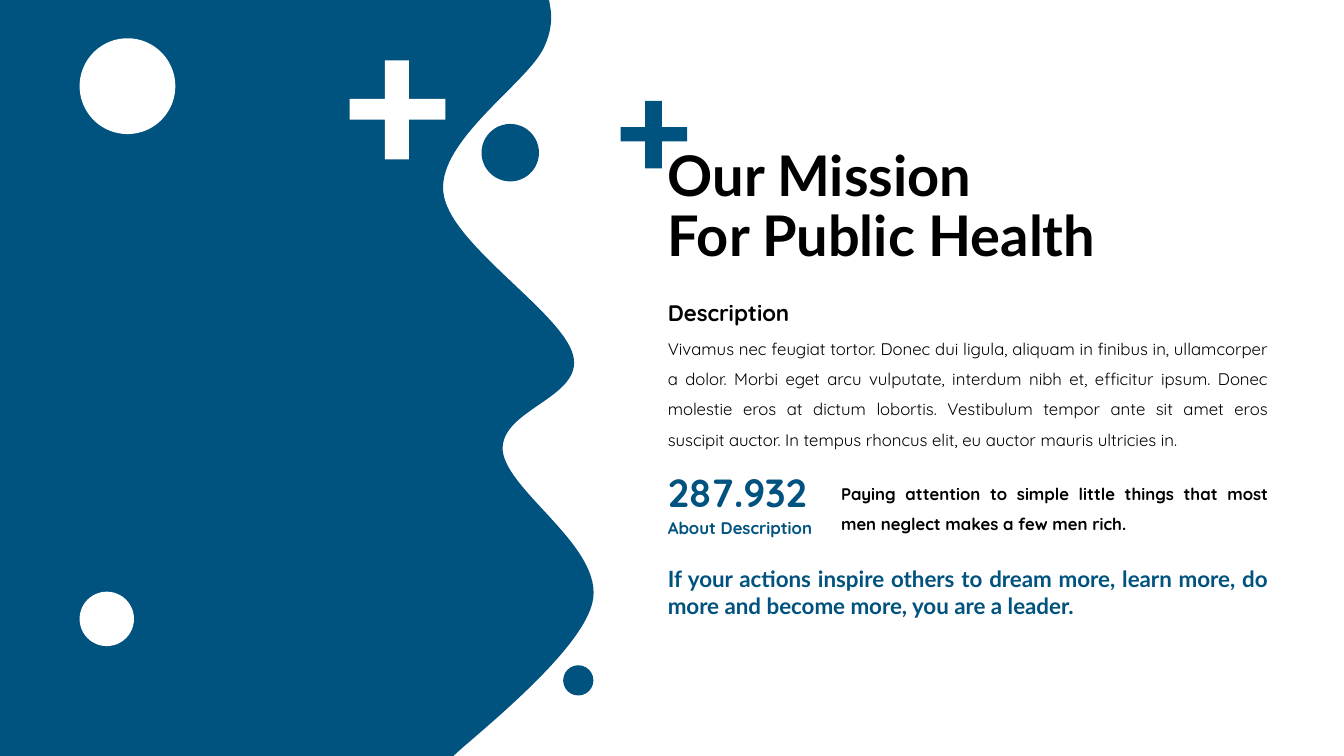
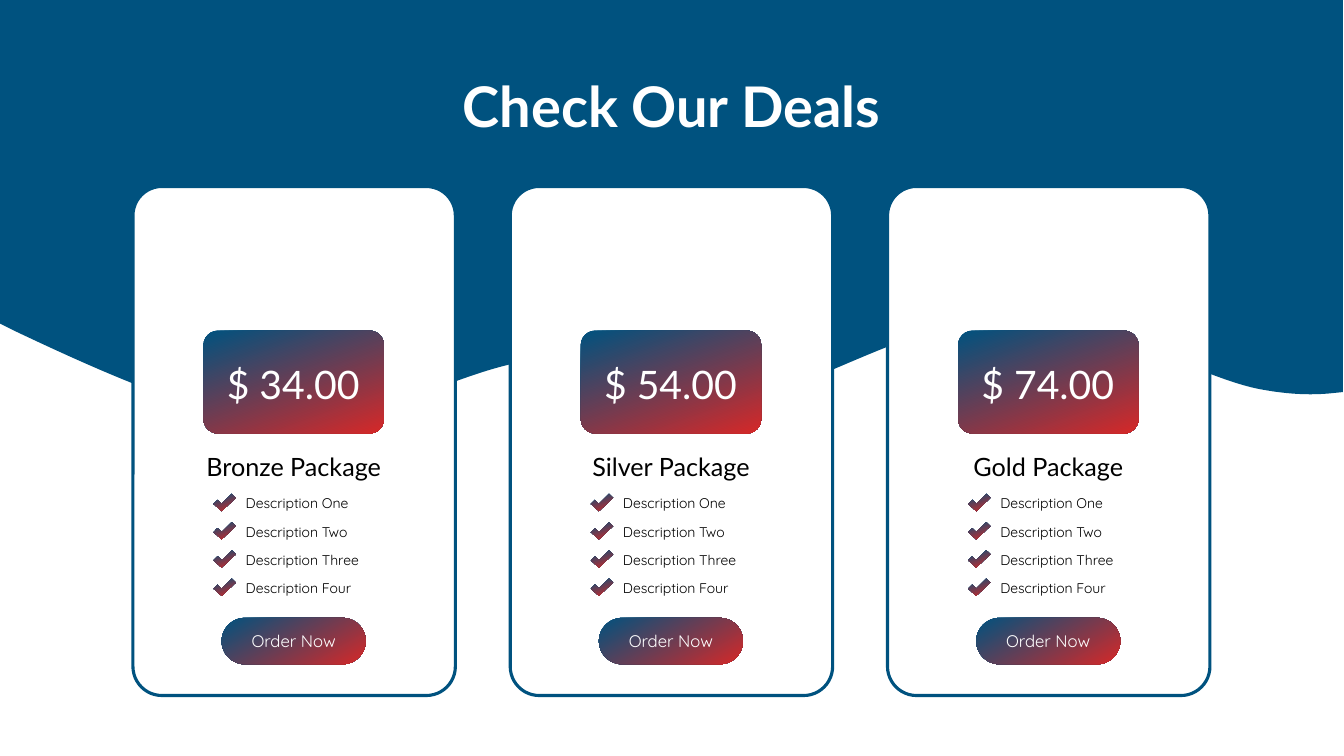
from lxml import etree
from pptx import Presentation
from pptx.dml.color import RGBColor
from pptx.enum.shapes import MSO_SHAPE as Preset
from pptx.enum.text import MSO_ANCHOR as Anchor, PP_ALIGN as Align
from pptx.oxml.ns import qn
from pptx.util import Inches, Pt

BLUE, RED, WHITE, BLACK = "00527F", "D62828", "FFFFFF", "000000"
HEADING, BODY = "Lato", "Quicksand"
TITLE_STYLE = dict(size=40, font=HEADING, bold=True, spacing=0.9, anchor=Anchor.MIDDLE)
rgb = RGBColor.from_string


def paint(shape, colour, angle=None):
    """Fill plainly, or blend from colour to red at a clockwise angle; no outline or shadow."""
    shape.shadow.inherit = False
    shape.line.fill.background()
    if angle is None:
        shape.fill.solid()
        shape.fill.fore_color.rgb = rgb(colour)
    else:
        shape.fill.gradient()
        shape.fill.gradient_angle = 360 - angle
        for stop, stop_colour in zip(shape.fill.gradient_stops, (colour, RED)):
            stop.color.rgb = rgb(stop_colour)


def write(page, area, text, size, font=BODY, colour=BLACK, bold=False,
          align=Align.LEFT, spacing=1.0, anchor=Anchor.TOP):
    """Add a text box; area is left, top, width and height in inches."""
    frame = page.shapes.add_textbox(*map(Inches, area)).text_frame
    frame.word_wrap = True
    frame.vertical_anchor = anchor
    frame.text = text
    para = frame.paragraphs[0]
    para.alignment = align
    para.line_spacing = spacing
    for span in para.runs:
        span.font.name = font
        span.font.size = Pt(size)
        span.font.bold = bold
        span.font.color.rgb = rgb(colour)


deck = Presentation()
deck.slide_width, deck.slide_height = Inches(13.34), Inches(7.5)

# Blue wave of each slide: two numbers make a corner, six make a Bezier curve
side_wave = [
    (0, 7.5), (0, 0), (5.45, 0), (5.46, 0.06),
    (5.48, 0.16, 5.48, 0.3, 5.4, 0.47), (5.24, 0.82, 4.35, 1.39, 4.4, 1.9),
    (4.44, 2.41, 5.59, 3.1, 5.69, 3.53), (5.79, 3.95, 4.96, 4.06, 4.99, 4.47),
    (5.03, 4.88, 6.01, 5.44, 5.88, 5.98), (5.78, 6.39, 5.08, 7, 4.6, 7.41),
    (4.5, 7.5),
]
top_wave = [
    (0, 0), (13.33, 0), (13.33, 3.89), (13.23, 3.9),
    (13.05, 3.92, 12.81, 3.92, 12.5, 3.86), (11.88, 3.74, 10.86, 3.11, 9.96, 3.14),
    (9.05, 3.17, 7.83, 3.99, 7.07, 4.06), (6.3, 4.13, 6.12, 3.55, 5.39, 3.57),
    (4.66, 3.59, 3.66, 4.29, 2.7, 4.2), (1.97, 4.13, 0.88, 3.63, 0.16, 3.29),
    (0, 3.21),
]
pages = []
for wave in (side_wave, top_wave):
    page = deck.slides.add_slide(deck.slide_layouts[6])
    pages.append(page)
    corners = [tuple(map(Inches, segment[-2:])) for segment in wave]
    builder = page.shapes.build_freeform(*corners[0])
    builder.add_line_segments(corners[1:])
    shape = builder.convert_to_shape()
    paint(shape, BLUE)
    # The wave touches the slide's top left corner, so its own coordinates are the slide's
    lines = list(shape.element.iter(qn("a:lnTo")))
    for line, segment in zip(lines, wave[1:]):
        if len(segment) == 6:
            curve = etree.Element(qn("a:cubicBezTo"))
            for x, y in zip(segment[::2], segment[1::2]):
                etree.SubElement(curve, qn("a:pt"), x=str(Inches(x)), y=str(Inches(y)))
            line.getparent().replace(line, curve)
mission, deals = pages

# Mission: crosses and dots
x_in, x_out, y_in, y_out = 0.37, 0.62, 0.39, 0.6
cross = [(x_in, 0), (x_out, 0), (x_out, y_in), (1, y_in), (1, y_out), (x_out, y_out),
         (x_out, 1), (x_in, 1), (x_in, y_out), (0, y_out), (0, y_in), (x_in, y_in)]
for left, top, width, height, colour in [(6.16, 1, 0.66, 0.67, BLUE),
                                         (3.47, 0.6, 0.95, 0.98, WHITE)]:
    corners = [(Inches(left + x * width), Inches(top + y * height)) for x, y in cross]
    builder = mission.shapes.build_freeform(*corners[0])
    builder.add_line_segments(corners[1:])
    paint(builder.convert_to_shape(), colour)

for left, top, size, colour in [(0.79, 5.87, 0.54, WHITE), (0.79, 0.38, 0.95, WHITE),
                                (5.59, 6.6, 0.3, BLUE), (4.78, 1.23, 0.57, BLUE)]:
    dot = mission.shapes.add_shape(Preset.OVAL, Inches(left), Inches(top),
                                   Inches(size), Inches(size))
    paint(dot, colour)

# Mission: texts
description = (
    "Vivamus nec feugiat tortor. Donec dui ligula, aliquam in finibus in, ullamcorper "
    "a dolor. Morbi eget arcu vulputate, interdum nibh et, efficitur ipsum. Donec "
    "molestie eros at dictum lobortis. Vestibulum tempor ante sit amet eros "
    "suscipit auctor. In tempus rhoncus elit, eu auctor mauris ultricies in."
)
attention = ("Paying attention to simple little things that most men neglect "
             "makes a few men rich.")
quote = ("If your actions inspire others to dream more, learn more, do more "
         "and become more, you are a leader.")
blue_label = dict(colour=BLUE, bold=True, align=Align.JUSTIFY)
figure = dict(blue_label, anchor=Anchor.MIDDLE)
airy = dict(align=Align.JUSTIFY, spacing=1.5)
for area, text, style in [
    ((6.53, 3.21, 6.16, 1.3), description, dict(airy, size=12)),
    ((6.53, 2.79, 2.96, 0.5), "Description", dict(airy, size=16, bold=True)),
    ((6.53, 5.09, 1.72, 0.3), "About Description", dict(figure, size=12)),
    ((6.53, 4.59, 2.3, 0.57), "287.932", dict(figure, size=28)),
    ((8.25, 4.65, 4.44, 0.7), attention, dict(airy, size=12, bold=True)),
    ((6.53, 5.56, 6.16, 0.64), quote, dict(blue_label, size=16, font=HEADING)),
    ((6.53, 1.34, 5.09, 1.45), "Our Mission \vFor Public Health", TITLE_STYLE),
]:
    write(mission, area, text, **style)

# Deals: price cards, then the title
FIRST_LEFT, LAST_LEFT = 1.32, 8.81
check = [(0.08, 0.17), (0, 0.1), (0.04, 0.06), (0.08, 0.1), (0.18, 0), (0.22, 0.04)]
features = ["Description One", "Description Two", "Description Three", "Description Four"]
packages = [("Bronze Package", "$ 34.00"), ("Silver Package", "$ 54.00"),
            ("Gold Package", "$ 74.00")]
card_pitch = (LAST_LEFT - FIRST_LEFT) / (len(packages) - 1)
for index, (package, price) in enumerate(packages):
    left = FIRST_LEFT + index * card_pitch

    card = deals.shapes.add_shape(Preset.ROUNDED_RECTANGLE, Inches(left), Inches(1.85),
                                  Inches(3.2), Inches(5.05))
    card.adjustments[0] = 0.09
    paint(card, WHITE)
    card.line.color.rgb = rgb(BLUE)
    card.line.width = Pt(2.25)

    for inset, top, width, height, corner, angle in [(0.7, 3.28, 1.79, 1.02, 0.14, 70),
                                                     (0.88, 6.13, 1.43, 0.46, 0.5, 60)]:
        panel = deals.shapes.add_shape(Preset.ROUNDED_RECTANGLE, Inches(left + inset),
                                       Inches(top), Inches(width), Inches(height))
        panel.adjustments[0] = corner
        paint(panel, BLUE, angle)

    for area, text, size, font, colour in [
        ((left + 0.69, 3.53, 1.8, 0.57), price, 28, HEADING, WHITE),
        ((left + 0.37, 4.43, 2.45, 0.4), package, 18, HEADING, BLACK),
        ((left + 0.93, 6.21, 1.33, 0.3), "Order Now", 12, BODY, WHITE),
    ]:
        write(deals, area, text, size, font, colour, align=Align.CENTER)

    for row, feature in enumerate(features):
        top = 4.9 + row * 0.28
        corners = [(Inches(left + 0.8 + x), Inches(top + y)) for x, y in check]
        builder = deals.shapes.build_freeform(*corners[0])
        builder.add_line_segments(corners[1:])
        paint(builder.convert_to_shape(), BLUE, 70)
        write(deals, (left + 1.02, top - 0.04, 1.39, 0.27), feature, 10)

write(deals, (2.75, 0.36, 7.83, 1.45), "Check Our Deals", colour=WHITE,
      align=Align.CENTER, **TITLE_STYLE)

deck.save("out.pptx")
